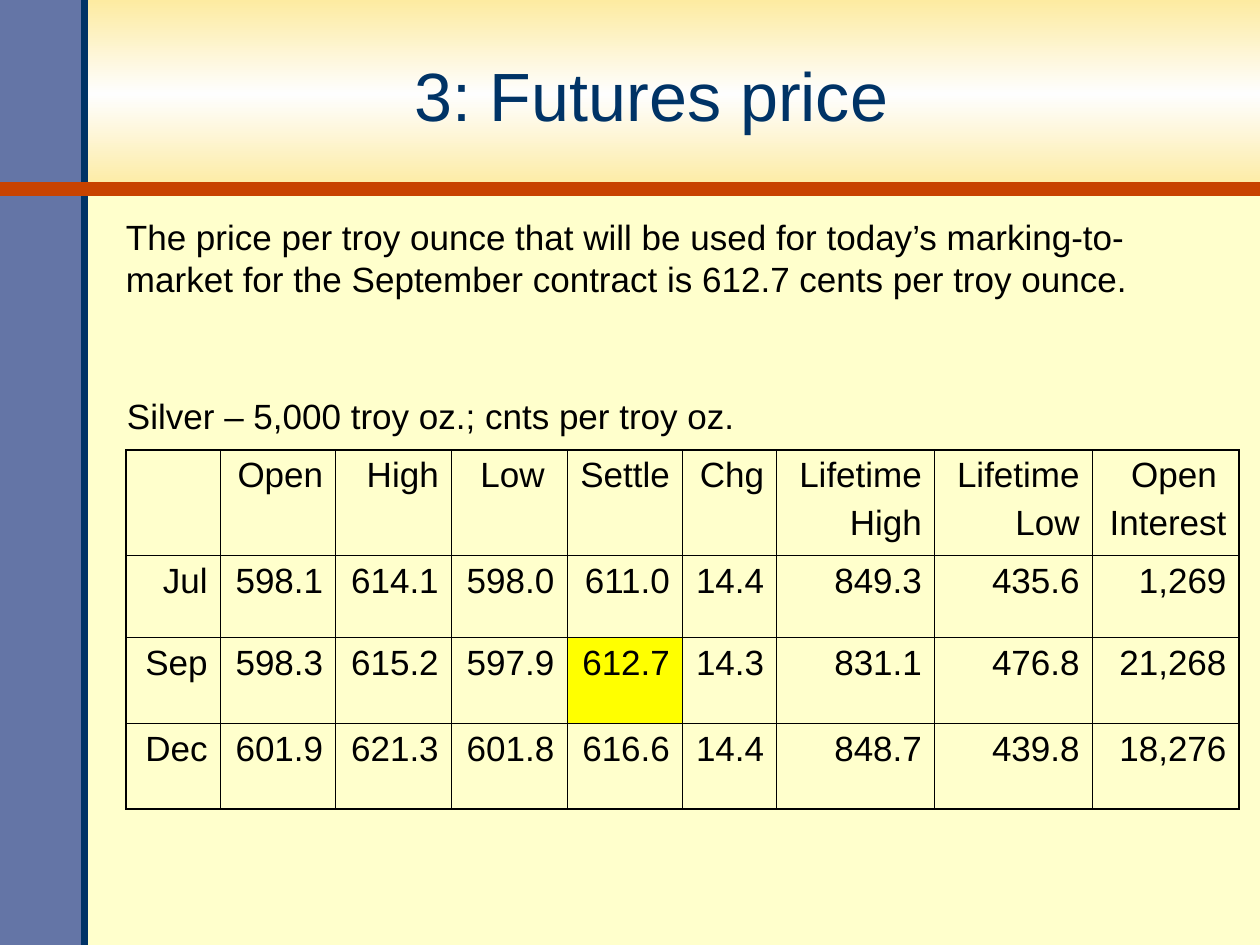
import copy

import pptx
import pptx.dml.color
import pptx.enum.shapes
import pptx.enum.text
import pptx.oxml
import pptx.oxml.ns
import pptx.util
from lxml import etree

Cm, Pt = pptx.util.Cm, pptx.util.Pt
RGB = pptx.dml.color.RGBColor
qn = pptx.oxml.ns.qn
ALIGN = pptx.enum.text.PP_ALIGN
ANCHOR = pptx.enum.text.MSO_ANCHOR
AUTO_SIZE = pptx.enum.text.MSO_AUTO_SIZE

CREAM = RGB(0xFF, 0xFF, 0xCC)
GOLD = RGB(0xFD, 0xEB, 0xA1)
WHITE = RGB(0xFE, 0xFE, 0xFE)
SLATE = RGB(0x64, 0x75, 0xA6)
NAVY = RGB(0x00, 0x33, 0x66)
RUST = RGB(0xC8, 0x43, 0x00)
YELLOW = RGB(0xFF, 0xFF, 0x00)
BLACK = RGB(0x00, 0x00, 0x00)

WIDTH, HEIGHT = 25.4, 19.05
BAND_HEIGHT = 3.81
STRIPE_WIDTH = 1.7
INNER, OUTER = 0.45, 1.08

BODY = {"name": "Arial", "size": Pt(20)}
TITLE = {"name": "Arial", "size": Pt(39)}

COLUMNS = [1.9, 2.33, 2.33, 2.33, 2.33, 1.9, 3.18, 3.18, 2.96]
ROWS = [2.13, 1.65, 1.73, 1.73]
PRICES = [
    ["", "Open", "High", "Low ", "Settle", "Chg",
     "Lifetime\nHigh", "Lifetime\nLow", "Open \nInterest"],
    ["Jul", "598.1", "614.1", "598.0", "611.0", "14.4", "849.3", "435.6", "1,269"],
    ["Sep", "598.3", "615.2", "597.9", "612.7", "14.3", "831.1", "476.8", "21,268"],
    ["Dec", "601.9", "621.3", "601.8", "616.6", "14.4", "848.7", "439.8", "18,276"],
]
SETTLE_SEP = (2, 4)


def write(tf, text, font, color=BLACK, align=ALIGN.LEFT, gap=0):
    """Fill a text frame with one paragraph per line, gap points apart."""
    for i, line in enumerate(text.split("\n")):
        p = tf.paragraphs[0] if i == 0 else tf.add_paragraph()
        p.alignment = align
        if i and gap:
            p.space_before = Pt(gap)
        if line:
            r = p.add_run()
            r.text = line
            for name, value in font.items():
                setattr(r.font, name, value)
            r.font.color.rgb = color


def add_text(s, box, text, font, wrap=False, anchor=ANCHOR.TOP, **style):
    """Add a text box; without wrap it grows to fit its lines."""
    tf = s.shapes.add_textbox(*map(Cm, box)).text_frame
    tf.word_wrap = wrap
    tf.auto_size = AUTO_SIZE.NONE if wrap else AUTO_SIZE.SHAPE_TO_FIT_TEXT
    tf.vertical_anchor = anchor
    write(tf, text, font, **style)


def add_rect(s, box):
    sp = s.shapes.add_shape(pptx.enum.shapes.MSO_SHAPE.RECTANGLE, *map(Cm, box))
    sp.shadow.inherit = False
    sp.line.fill.background()
    return sp


def add_title_band(s):
    sp = add_rect(s, (0, 0, WIDTH, BAND_HEIGHT))
    sp.fill.gradient()
    sp.fill.gradient_angle = 90
    stops = sp._element.spPr.find(".//" + qn("a:gsLst"))
    stops.append(copy.deepcopy(stops[0]))
    for stop, position, color in zip(
            sp.fill.gradient_stops, (0, 0.5, 1), (GOLD, WHITE, GOLD)):
        stop.position = position
        stop.color.rgb = color


def add_rule(s, ends, color, width):
    c = s.shapes.add_connector(
        pptx.enum.shapes.MSO_CONNECTOR.STRAIGHT, *map(Cm, ends))
    c.line.color.rgb = color
    c.line.width = Pt(width)
    etree.SubElement(c._element.spPr, qn("a:effectLst"))


def set_borders(cell, widths):
    tc_pr = cell._tc.get_or_add_tcPr()
    for side, width in widths.items():
        ln = etree.SubElement(tc_pr, qn("a:ln" + side), w=str(Pt(width)))
        fill = etree.SubElement(ln, qn("a:solidFill"))
        etree.SubElement(fill, qn("a:srgbClr"), val=str(BLACK))


def add_price_table(s, left, top):
    last_row, last_col = len(ROWS) - 1, len(COLUMNS) - 1
    table = s.shapes.add_table(
        len(ROWS), len(COLUMNS), Cm(left), Cm(top),
        Cm(sum(COLUMNS)), Cm(sum(ROWS))).table
    table.first_row = table.horz_banding = False
    for column, width in zip(table.columns, COLUMNS):
        column.width = Cm(width)
    for row, height in zip(table.rows, ROWS):
        row.height = Cm(height)
    for i, texts in enumerate(PRICES):
        for j, text in enumerate(texts):
            cell = table.cell(i, j)
            write(cell.text_frame, text, BODY, align=ALIGN.RIGHT, gap=5)
            on_edge = {"L": j == 0, "R": j == last_col,
                       "T": i == 0, "B": i == last_row}
            set_borders(cell, {side: OUTER if edge else INNER
                               for side, edge in on_edge.items()})
            if (i, j) == SETTLE_SEP:
                cell.fill.solid()
                cell.fill.fore_color.rgb = YELLOW
            else:
                cell.fill.background()


def main():
    prs = pptx.Presentation()
    prs.slide_width, prs.slide_height = Cm(WIDTH), Cm(HEIGHT)
    s = prs.slides.add_slide(prs.slide_layouts[6])
    s.background.fill.solid()
    s.background.fill.fore_color.rgb = CREAM

    add_title_band(s)
    stripe = add_rect(s, (0, 0, STRIPE_WIDTH, HEIGHT))
    stripe.fill.solid()
    stripe.fill.fore_color.rgb = SLATE
    add_rule(s, (STRIPE_WIDTH, HEIGHT, STRIPE_WIDTH, 0), NAVY, 4)
    add_rule(s, (0, BAND_HEIGHT, WIDTH, BAND_HEIGHT), RUST, 8)

    add_text(s, (1.65, 0.38, 22.96, 3.05), "3: Futures price", TITLE, wrap=True,
             anchor=ANCHOR.MIDDLE, color=NAVY, align=ALIGN.CENTER)
    add_price_table(s, 2.54, 9.07)
    add_text(s, (2.31, 7.82, 12.8, 1.12),
             "Silver – 5,000 troy oz.; cnts per troy oz.", BODY)
    add_text(s, (2.29, 4.22, 20.72, 1.96),
             "The price per troy ounce that will be used for today’s marking-to-\n"
             "market for the September contract is 612.7 cents per troy ounce.", BODY)

    prs.save("out.pptx")


if __name__ == "__main__":
    main()
